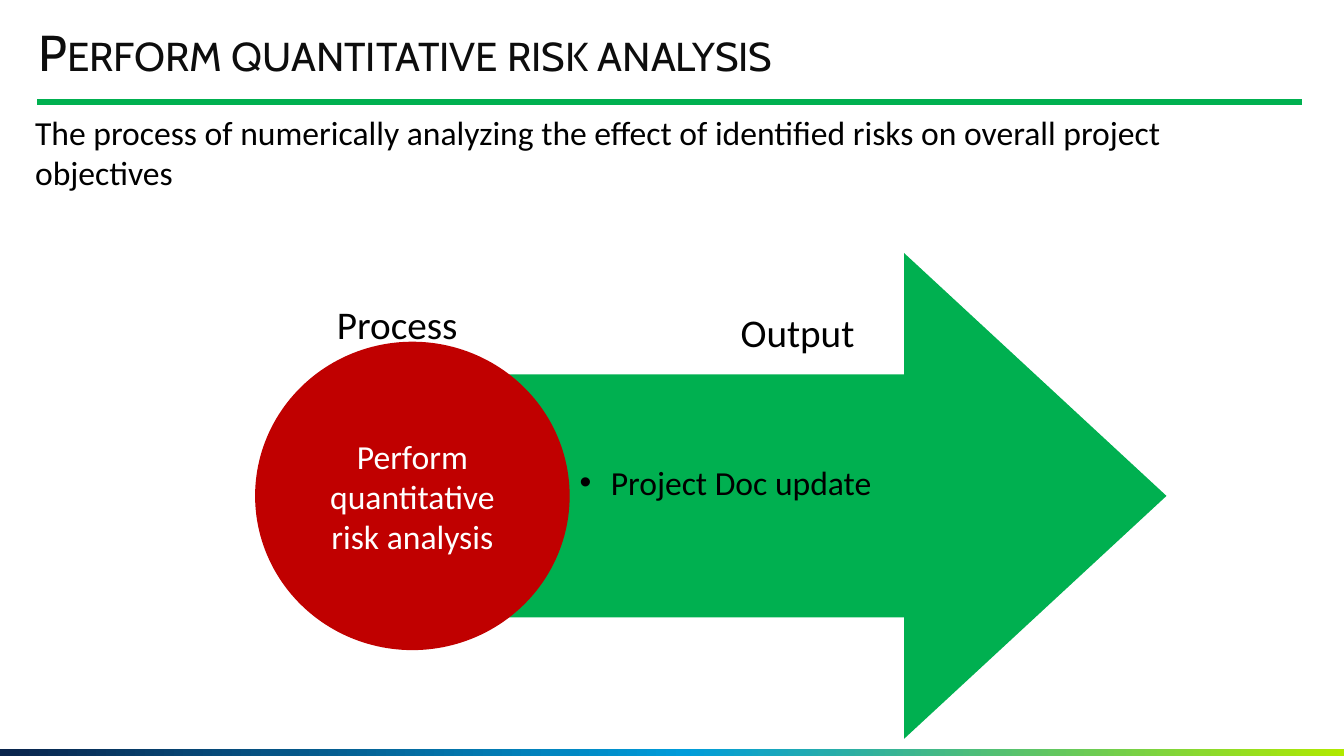
from copy import deepcopy

from pptx import Presentation
from pptx.dml.color import RGBColor
from pptx.enum.shapes import MSO_CONNECTOR as CONNECTOR, MSO_SHAPE as SHAPE
from pptx.enum.text import MSO_ANCHOR as ANCHOR, PP_ALIGN as ALIGN
from pptx.oxml.ns import qn
from pptx.util import Pt
from lxml.etree import SubElement

PX = 9144
COLOURS = {
    "title": "0D0D0D",
    "text": "000000",
    "light": "FFFFFF",
    "green": "00B050",
    "red": "C00000",
    "navy": "09244C",
    "blue": "009CDA",
    "lime": "B0E900",
}


def colour(name):
    return RGBColor.from_string(COLOURS[name])


def px(*lengths):
    return [length * PX for length in lengths]


def write(para, text, size, ink="text", font="Calibri"):
    span = para.add_run()
    span.text = text
    span.font.size = Pt(size)
    span.font.name = font
    span.font.color.rgb = colour(ink)
    return span


def add_title(page, text, place):
    title = page.shapes.title
    title.left, title.top, title.width, title.height = px(*place)
    frame = title.text_frame
    frame.margin_left = frame.margin_top = frame.margin_right = frame.margin_bottom = 0
    frame.vertical_anchor = ANCHOR.MIDDLE
    para = frame.paragraphs[0]
    para.alignment = ALIGN.LEFT
    para.line_spacing = 0.9
    span = write(para, text, 36, "title", "Cabin")
    span.font._element.set("cap", "small")


def add_text(page, text, place, size, align=ALIGN.LEFT, bullet=False):
    box = page.shapes.add_textbox(*px(*place))
    box.text_frame.word_wrap = True
    para = box.text_frame.paragraphs[0]
    para.alignment = align
    if bullet:
        properties = para._p.get_or_add_pPr()
        indent = 31 * PX
        properties.set("marL", str(indent))
        properties.set("indent", str(-indent))
        SubElement(properties, qn("a:buFont")).set("typeface", "Arial")
        SubElement(properties, qn("a:buChar")).set("char", "•")
    write(para, text, size)


def add_block(page, kind, place, fill):
    block = page.shapes.add_shape(kind, *px(*place))
    block.shadow.inherit = False
    block.line.fill.background()
    block.fill.solid()
    block.fill.fore_color.rgb = colour(fill)
    return block


def add_gradient_bar(page, place, stops):
    bar = add_block(page, SHAPE.RECTANGLE, place, stops[0][1])
    bar.fill.gradient()
    bar.fill.gradient_angle = 0
    first = bar.fill.gradient_stops[0]._gs
    first.addnext(deepcopy(first))
    for stop, (position, name) in zip(bar.fill.gradient_stops, stops):
        stop.position = position
        stop.color.rgb = colour(name)


def add_rule(page, left, right, top):
    rule = page.shapes.add_connector(CONNECTOR.STRAIGHT, *px(left, top, right, top))
    rule.line.color.rgb = colour("green")
    rule.line.width = Pt(4.5)
    SubElement(rule._element.spPr, qn("a:effectLst"))


def add_process(page, text, place):
    circle = add_block(page, SHAPE.OVAL, place, "red")
    frame = circle.text_frame
    frame.word_wrap = True
    frame.vertical_anchor = ANCHOR.MIDDLE
    para = frame.paragraphs[0]
    para.alignment = ALIGN.CENTER
    write(para, text, 24, "light")


def main():
    deck = Presentation()
    deck.slide_width, deck.slide_height = px(1333, 750)
    page = deck.slides.add_slide(deck.slide_layouts[5])

    add_gradient_bar(page, (0, 743, 1333, 7), [(0, "navy"), (0.51, "blue"), (1, "lime")])
    add_rule(page, 37, 1291, 101)
    add_title(page, "Perform quantitative risk analysis", (38, 27, 1119, 55))
    add_text(
        page,
        "The process of numerically analyzing the effect of identified risks "
        "on overall project objectives",
        (25, 106, 1250, 91),
        24,
    )

    arrow = add_block(page, SHAPE.RIGHT_ARROW, (481, 251, 676, 482), "green")
    arrow.adjustments[1] = 0.54
    add_process(page, "Perform quantitative risk analysis", (253, 339, 312, 306))
    add_text(page, "Process", (308, 293, 172, 57), 28, ALIGN.CENTER)
    add_text(page, "Project Doc update", (565, 453, 558, 91), 24, bullet=True)
    add_text(page, "Output", (705, 301, 172, 57), 28, ALIGN.CENTER)

    deck.save("out.pptx")


if __name__ == "__main__":
    main()
